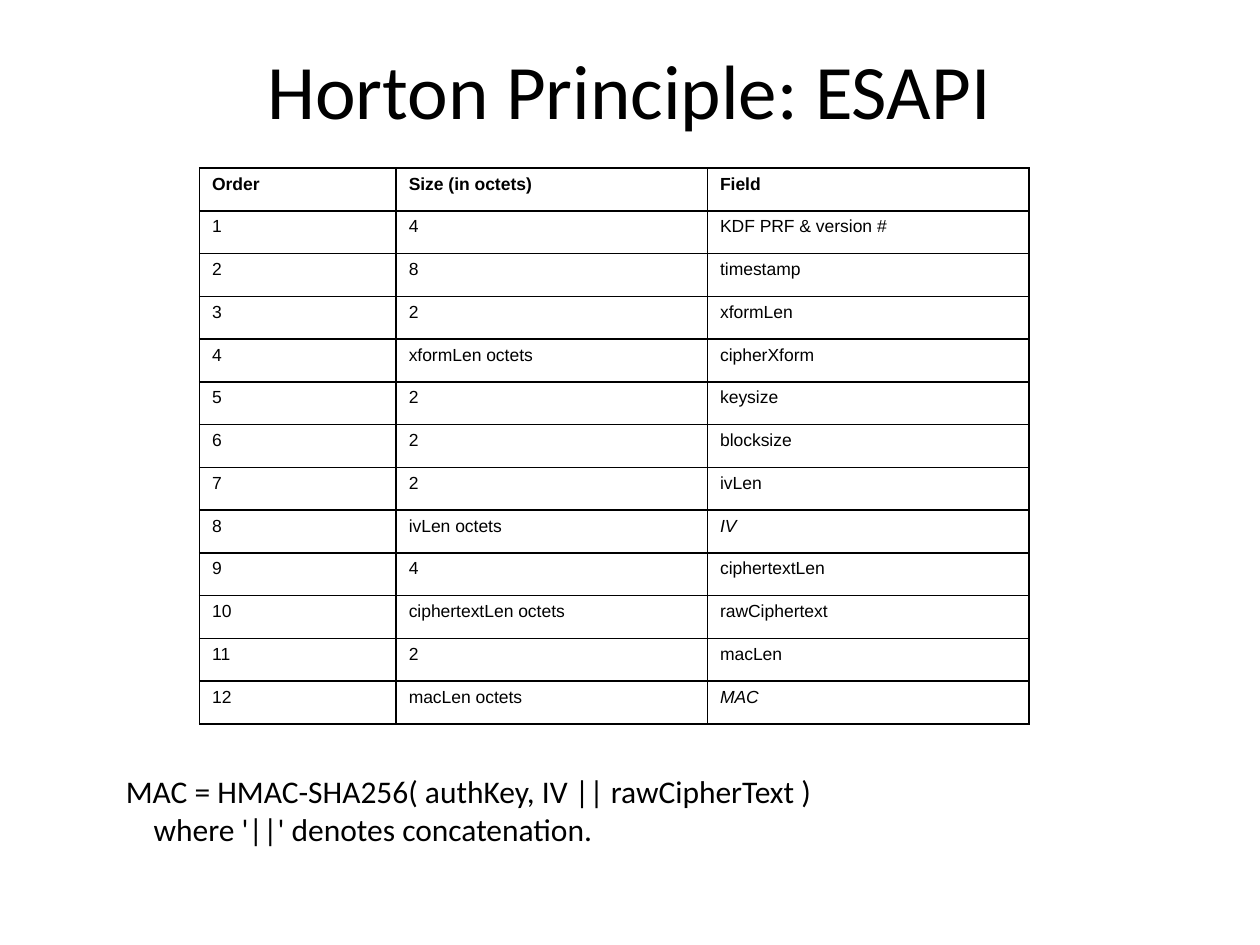
"""Build a slide with a table of the fields covered by a MAC."""
import pptx
import pptx.dml.color
import pptx.enum.text
import pptx.oxml
import pptx.oxml.ns
import pptx.util

Pt = pptx.util.Pt
Align = pptx.enum.text.PP_ALIGN
Anchor = pptx.enum.text.MSO_ANCHOR
INK = "000000"
FIELDS = [
    ("Size (in octets)", "Field"),
    ("4", "KDF PRF & version #"),
    ("8", "timestamp"),
    ("2", "xformLen"),
    ("xformLen octets", "cipherXform"),
    ("2", "keysize"),
    ("2", "blocksize"),
    ("2", "ivLen"),
    ("ivLen octets", "IV"),
    ("4", "ciphertextLen"),
    ("ciphertextLen octets", "rawCiphertext"),
    ("2", "macLen"),
    ("macLen octets", "MAC"),
]


def paint(color, code):
    """Set a colour from its hex string."""
    color.rgb = pptx.dml.color.RGBColor.from_string(code)


def style(para, face, size):
    """Set the font of a paragraph."""
    para.font.name = face
    para.font.size = Pt(size)
    paint(para.font.color, INK)


def write(slide, box, lines, size, align=Align.LEFT, anchor=Anchor.TOP):
    """Place a text box and return its paragraphs."""
    frame = slide.shapes.add_textbox(*map(Pt, box)).text_frame
    frame.word_wrap = True
    frame.vertical_anchor = anchor
    frame.text = "\n".join(lines)
    for para in frame.paragraphs:
        para.alignment = align
        style(para, "Calibri", size)
    return frame.paragraphs


def frame_cell(cell, width):
    """Draw the four borders of a cell."""
    props = cell._tc.get_or_add_tcPr()
    space = pptx.oxml.ns.nsdecls("a")
    for spot, side in enumerate(("lnL", "lnR", "lnT", "lnB")):
        props.insert(spot, pptx.oxml.parse_xml(
            f'<a:{side} {space} w="{Pt(width)}"><a:solidFill>'
            f'<a:srgbClr val="{INK}"/></a:solidFill></a:{side}>'))


def grid(slide, box, shares):
    """Place the table of fields in its box."""
    left, top, width, height = box
    count = len(FIELDS)
    table = slide.shapes.add_table(count, len(shares), *map(Pt, box)).table
    table.first_row = table.horz_banding = False
    for col, share in zip(table.columns, shares):
        col.width = Pt(width * share / sum(shares))
    for num, (row, field) in enumerate(zip(table.rows, FIELDS)):
        row.height = Pt(height / count)
        for cell, text in zip(row.cells, (str(num or "Order"), *field)):
            cell.fill.background()
            cell.text = text
            para = cell.text_frame.paragraphs[0]
            style(para, "Arial", 10)
            para.font.bold = num == 0
            para.font.italic = text in ("IV", "MAC")
            frame_cell(cell, 1)


def note(slide, box):
    """Place the formula with its indented remark."""
    lines = ["MAC = HMAC-SHA256( authKey, IV || rawCipherText )",
             "where '||' denotes concatenation."]
    remark = write(slide, box, lines, 18)[1]
    remark._p.get_or_add_pPr().set("marL", str(Pt(16)))


def main():
    """Build and save the slide."""
    deck = pptx.Presentation()
    deck.slide_width, deck.slide_height = Pt(720), Pt(540)
    slide = deck.slides.add_slide(deck.slide_layouts[6])
    write(slide, (36, 6, 647.5, 89), ["Horton Principle: ESAPI"], 44,
          Align.CENTER, Anchor.MIDDLE)
    grid(slide, (114, 96, 474, 317.7), (1.56, 2.47, 2.55))
    note(slide, (64.8, 437.8, 576, 71.3))
    deck.save("out.pptx")


main()
